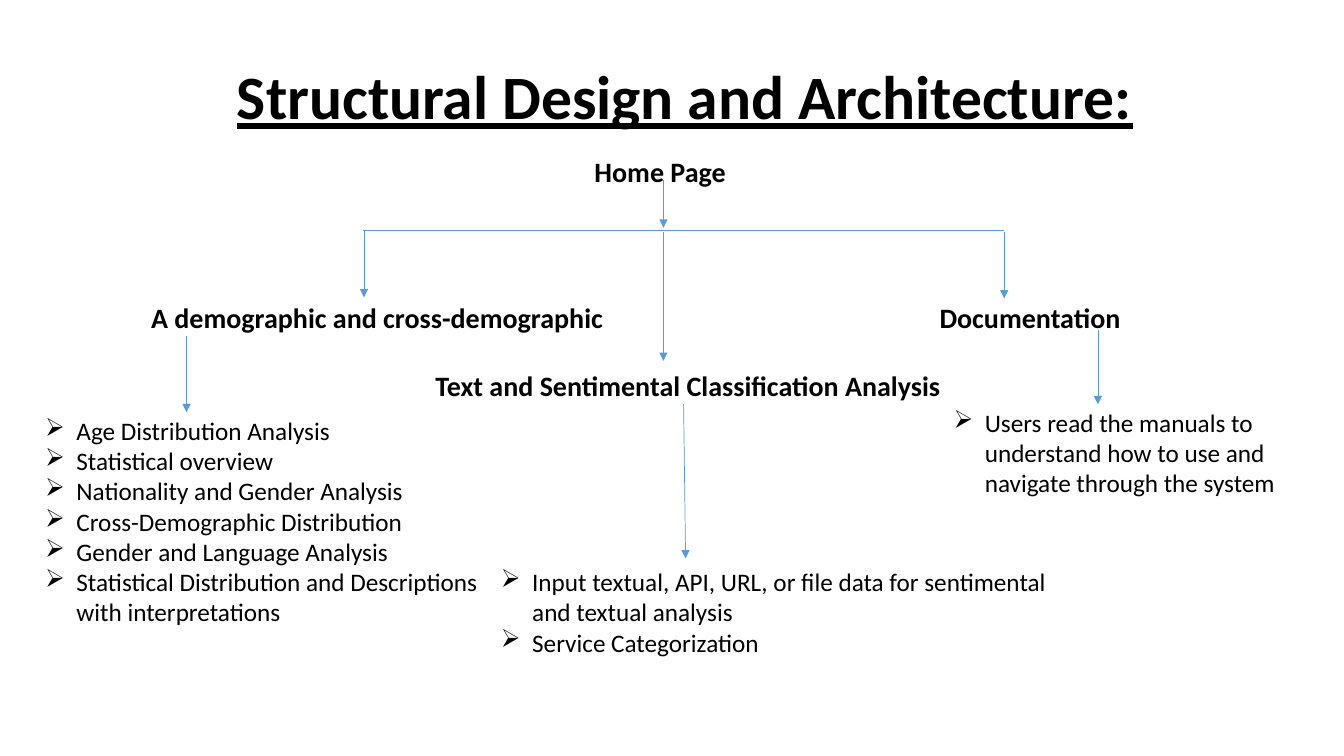
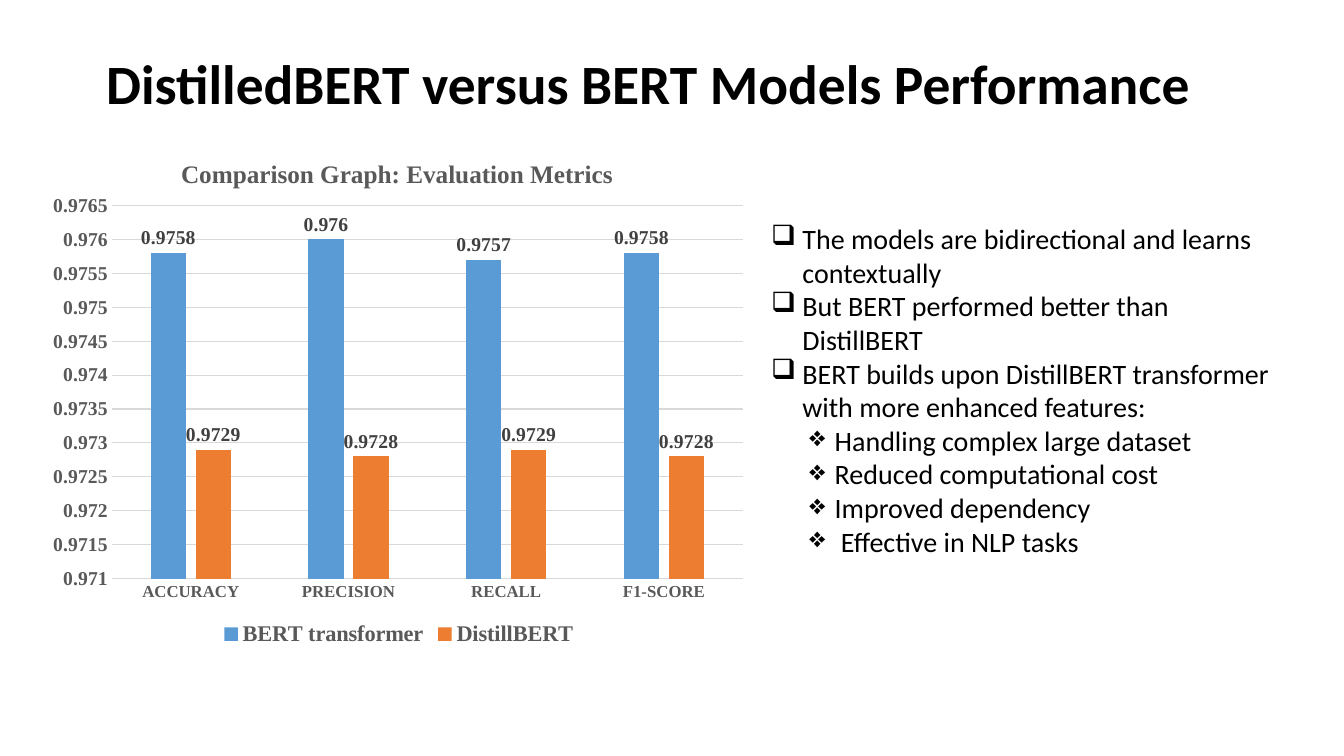
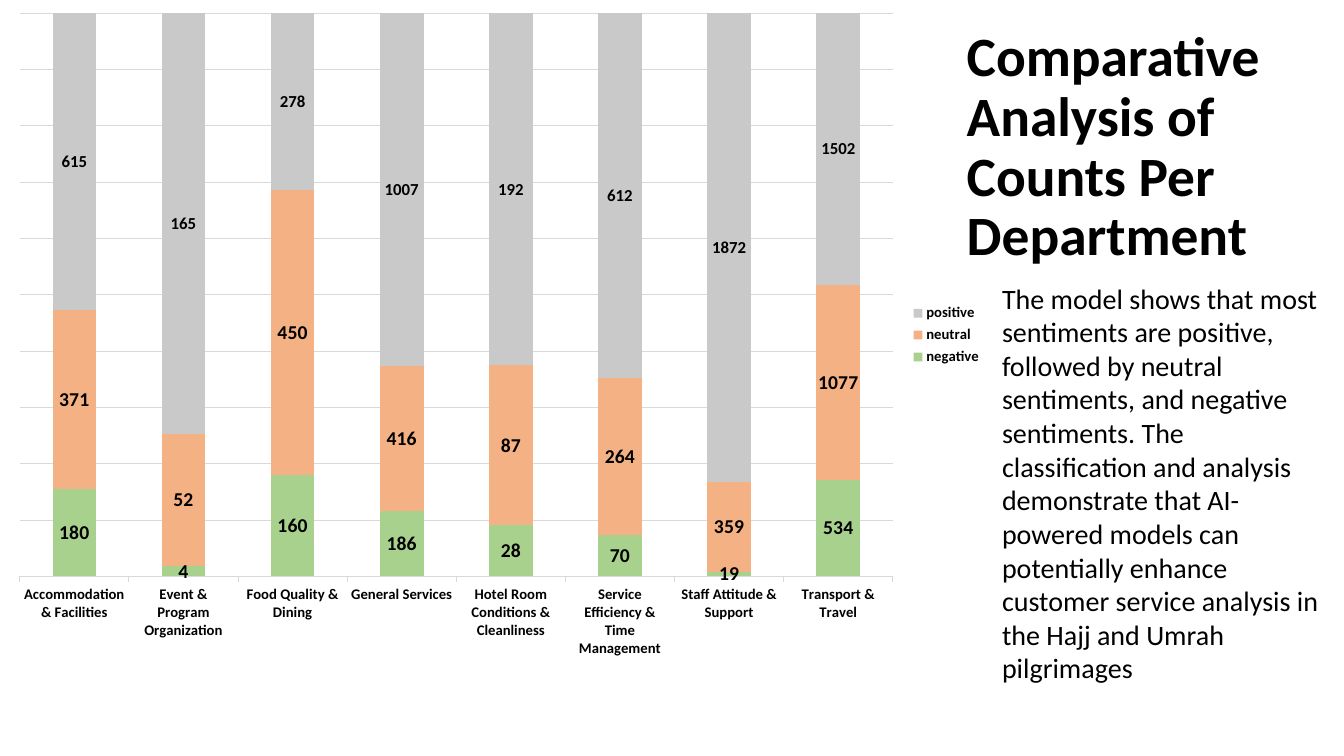
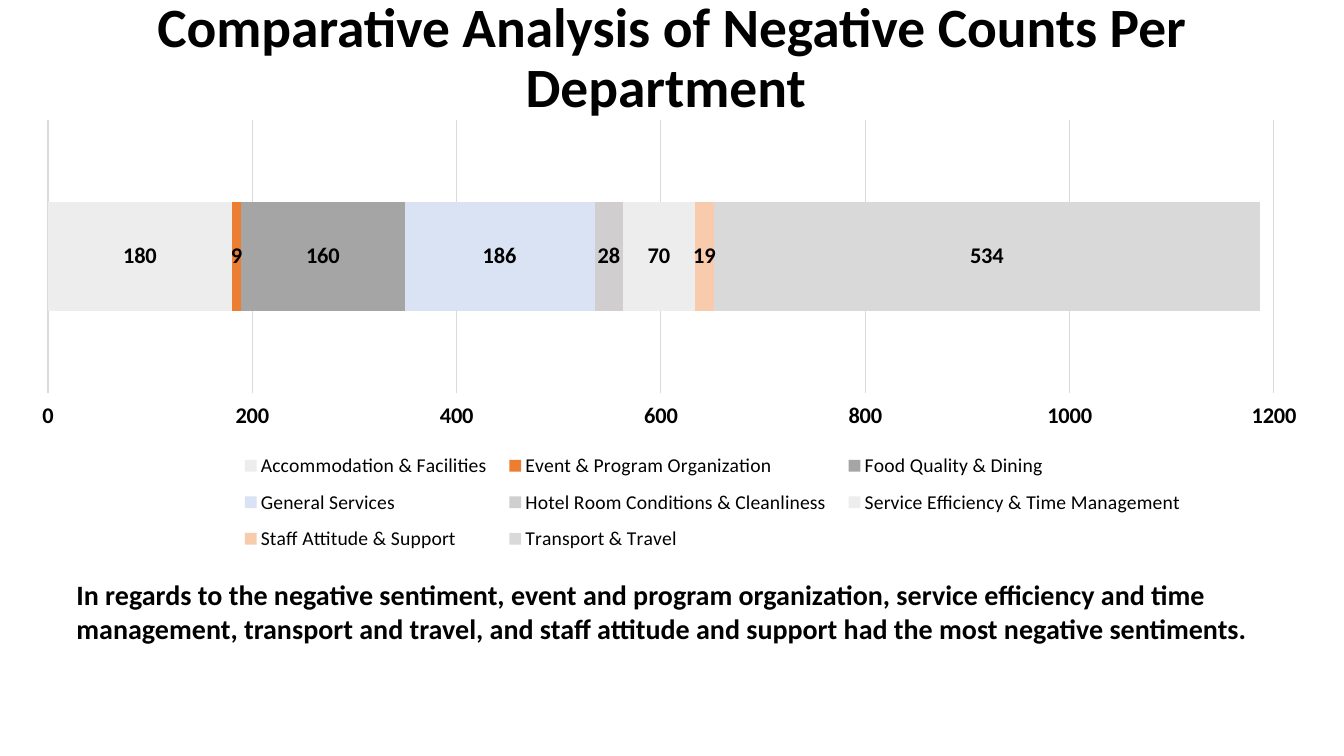
from lxml import etree
from pptx import Presentation
from pptx import util as u
from pptx.chart.data import CategoryChartData
from pptx.dml.color import RGBColor
from pptx.enum import chart as charts, shapes, text
from pptx.oxml import ns

Inches, Pt = u.Inches, u.Pt
color = RGBColor.from_string
BLACK, GREY, GRID, ARROW_BLUE = "000000", "595959", "D9D9D9", "5B9BD5"
CENTER, LEFT = text.PP_ALIGN.CENTER, text.PP_ALIGN.LEFT
TITLE = dict(size=39.6, bold=True, spacing=0.9, anchor=text.MSO_ANCHOR.MIDDLE)
HEADING = dict(size=20, bold=True)
CENTRE_LABEL = charts.XL_LABEL_POSITION.CENTER


def add_text(slide, box, lines, size, bold=False, underline=None, align=LEFT,
             spacing=None, anchor=text.MSO_ANCHOR.TOP):
    """Each line is a string or (string, bullet, left margin, hanging indent)."""
    frame = slide.shapes.add_textbox(*map(Inches, box)).text_frame
    frame.word_wrap = True
    frame.vertical_anchor = anchor
    for i, line in enumerate(lines):
        paragraph = frame.add_paragraph() if i else frame.paragraphs[0]
        paragraph.alignment = align
        paragraph.line_spacing = spacing
        if isinstance(line, tuple):
            line, bullet, margin, hanging = line
            props = paragraph._p.get_or_add_pPr()
            props.set("marL", str(Inches(margin)))
            props.set("indent", str(-Inches(hanging)))
            etree.SubElement(props, ns.qn("a:buChar")).set("char", bullet)
        run = paragraph.add_run()
        run.text = line
        font = run.font
        font.name, font.size, font.bold, font.underline = "Calibri", Pt(size), bold, underline
        font.color.rgb = color(BLACK)


def add_bar_chart(slide, kind, box, categories, series, gap, overlap, legend_side,
                  sizes, label_position, font_name="Calibri",
                  font_color=BLACK, label_color=BLACK):
    """Series are (name, values, fill, label size); sizes are category, value, legend."""
    data = CategoryChartData()
    data.categories = categories
    for name, values, _, _ in series:
        data.add_series(name, values)
    chart = slide.shapes.add_chart(kind, *map(Inches, box), data).chart
    chart.has_title = False
    plot = chart.plots[0]
    plot.gap_width, plot.overlap, plot.vary_by_categories = gap, overlap, False
    chart.has_legend = True
    chart.legend.position = legend_side
    chart.legend.include_in_layout = False
    value_axis = chart.value_axis
    value_axis.major_gridlines.format.line.color.rgb = color(GRID)
    value_axis.major_gridlines.format.line.width = Pt(0.75)
    value_axis.format.line.fill.background()
    chart.category_axis.format.line.color.rgb = color(GRID)
    chart.category_axis.format.line.width = Pt(0.75)

    parts = [chart, chart.category_axis.tick_labels, value_axis.tick_labels, chart.legend]
    fonts = [(part.font, size, font_color) for part, size in zip(parts, (10, *sizes))]
    for bars, (_, _, fill, label_size) in zip(plot.series, series):
        bars.format.fill.solid()
        bars.format.fill.fore_color.rgb = color(fill)
        bars.invert_if_negative = False
        bars.data_labels.show_value = True
        bars.data_labels.position = label_position
        fonts.append((bars.data_labels.font, label_size, label_color))
    for font, size, shade in fonts:
        font.name, font.size, font.bold = font_name, Pt(size), True
        font.color.rgb = color(shade)
    return chart


prs = Presentation()
prs.slide_width, prs.slide_height = Inches(13.33), Inches(7.5)
architecture, models, departments, negatives = [
    prs.slides.add_slide(prs.slide_layouts[6]) for _ in range(4)]

# Slide 1: architecture tree
add_text(architecture, (0.83, 0.41, 11.93, 1.16), ["Structural Design and Architecture:"],
         **{**TITLE, "size": 44}, underline=True, align=CENTER)
add_text(architecture, (4.75, 1.48, 3.66, 0.44), ["Home Page "], **HEADING, align=CENTER)
for heading, left, top, width in [
        ("A demographic and cross-demographic", 1.4, 2.93, 4.85),
        ("Text and Sentimental Classification Analysis", 4.22, 3.61, 5.32),
        ("Documentation", 9.22, 2.93, 2.07)]:
    add_text(architecture, (left, top, width, 0.44), [heading], **HEADING)

for box, features in [
        ((0.35, 4.07, 4.51, 2.22),
         ["Age Distribution Analysis", "Statistical overview",
          "Nationality and Gender Analysis", "Cross-Demographic Distribution",
          "Gender and Language Analysis",
          "Statistical Distribution and Descriptions with interpretations"]),
        ((4.87, 5.57, 6.01, 1.01),
         ["Input textual, API, URL, or file data for sentimental and textual analysis",
          "Service Categorization"]),
        ((9.36, 3.99, 3.7, 1.01),
         ["Users read the manuals to understand how to use and navigate through the system"])]:
    add_text(architecture, box, [(feature, "➢", 0.31, 0.31) for feature in features], 18)

# Branch line, then the arrows
for x1, y1, x2, y2, has_head in [
        (3.6, 2.29, 9.96, 2.29, False),
        (6.58, 1.79, 6.58, 2.26, True),
        (3.61, 2.29, 3.61, 2.95, True),
        (6.58, 2.3, 6.58, 3.58, True),
        (9.96, 2.3, 9.96, 2.96, True),
        (1.85, 3.33, 1.85, 4.09, True),
        (6.78, 4.01, 6.8, 5.54, True),
        (10.89, 3.27, 10.89, 4.01, True)]:
    branch = architecture.shapes.add_connector(
        shapes.MSO_CONNECTOR.STRAIGHT, *map(Inches, (x1, y1, x2, y2)))
    branch.line.color.rgb = color(ARROW_BLUE)
    branch.line.width = Pt(0.5)
    if has_head:
        etree.SubElement(branch.line._get_or_add_ln(), ns.qn("a:tailEnd")).set("type", "triangle")
    etree.SubElement(branch._element.spPr, ns.qn("a:effectLst"))

# Slide 2: model comparison
add_text(models, (0.68, 0.4, 11.5, 0.92), ["DistilledBERT versus BERT Models Performance"],
         **TITLE, align=CENTER)
metrics = add_bar_chart(
    models, charts.XL_CHART_TYPE.COLUMN_CLUSTERED, (0.4, 1.32, 7.11, 5.14),
    ["ACCURACY", "PRECISION", "RECALL", "F1-SCORE"],
    [("BERT transformer", [0.9758, 0.976, 0.9757, 0.9758], "5B9BD5", 14),
     ("DistillBERT", [0.9729, 0.9728, 0.9729, 0.9728], "ED7D31", 14)],
    gap=219, overlap=-27, legend_side=charts.XL_LEGEND_POSITION.BOTTOM, sizes=(12, 14, 16),
    label_position=charts.XL_LABEL_POSITION.OUTSIDE_END,
    font_name="Times New Roman", font_color=GREY, label_color="404040")
metrics.value_axis.minimum_scale = 0.971
metrics.value_axis.maximum_scale = 0.9765
metrics.value_axis.major_unit = 0.0005
for axis in (metrics.category_axis, metrics.value_axis):
    axis.major_tick_mark = charts.XL_TICK_MARK.NONE
metrics.has_title = True
caption = metrics.chart_title.text_frame.paragraphs[0].add_run()
caption.text = "Comparison Graph: Evaluation Metrics"
caption.font.name, caption.font.size, caption.font.bold = "Times New Roman", Pt(18), True
caption.font.color.rgb = color(GREY)

findings = ["The models are bidirectional and learns contextually",
            "But BERT performed better than DistillBERT",
            "BERT builds upon DistillBERT transformer with more enhanced features:"]
enhancements = ["Handling complex large dataset", "Reduced computational cost",
                "Improved dependency", " Effective in NLP tasks"]
add_text(models, (7.55, 2.15, 5.38, 3.47),
         [(finding, "❑", 0.31, 0.31) for finding in findings]
         + [(enhancement, "❖", 0.63, 0.25) for enhancement in enhancements], 20)

# Slide 3: sentiment share per department
department_names = [
    "Accommodation & Facilities", "Event & Program Organization", "Food Quality & Dining",
    "General Services", "Hotel Room Conditions & Cleanliness",
    "Service Efficiency & Time Management", "Staff Attitude & Support", "Transport & Travel"]
add_text(departments, (9.49, 1.15, 3.84, 0.64),
         ["Comparative Analysis of Counts Per Department"], **TITLE)
add_text(departments, (9.84, 2.74, 3.5, 4.14), [
    "The model shows that most sentiments are positive, followed by neutral sentiments, "
    "and negative sentiments. The classification and analysis demonstrate that AI-powered "
    "models can potentially enhance customer service analysis in the Hajj and Umrah "
    "pilgrimages"], 20)
shares = add_bar_chart(
    departments, charts.XL_CHART_TYPE.COLUMN_STACKED_100, (0, 0, 9.84, 6.65), department_names,
    [("negative", [180, 4, 160, 186, 28, 70, 19, 534], "A9D18E", 14),
     ("neutral", [371, 52, 450, 416, 87, 264, 359, 1077], "F4B183", 14),
     ("positive", [615, 165, 278, 1007, 192, 612, 1872, 1502], "C9C9C9", 12)],
    gap=150, overlap=100, legend_side=charts.XL_LEGEND_POSITION.RIGHT,
    sizes=(10.5, 10.5, 10.5), label_position=CENTRE_LABEL)
shares.value_axis.visible = False

# Slide 4: negative counts
add_text(negatives, (0.22, 0.23, 12.89, 0.72),
         ["Comparative Analysis of Negative Counts Per Department "], **TITLE, align=CENTER)
add_text(negatives, (0.66, 5.68, 12.67, 0.77), [
    "In regards to the negative sentiment, event and program organization, service efficiency "
    "and time management, transport and travel, and staff attitude and support had the most "
    "negative sentiments."], **HEADING)
negative_counts = [180, 9, 160, 186, 28, 70, 19, 534]
department_fills = ["EDEDED", "ED7D31", "A5A5A5", "DAE3F3", "D0CECE", "EDEDED", "F8CBAD", "D9D9D9"]
counts = add_bar_chart(
    negatives, charts.XL_CHART_TYPE.BAR_STACKED, (0.22, 0.95, 12.8, 4.83), ["1"],
    [(name, [count], fill, 16)
     for name, count, fill in zip(department_names, negative_counts, department_fills)],
    gap=150, overlap=100, legend_side=charts.XL_LEGEND_POSITION.BOTTOM,
    sizes=(16, 16, 14), label_position=CENTRE_LABEL)
counts.category_axis.visible = False
counts.value_axis.minimum_scale = 0
counts.value_axis.maximum_scale = 1200
counts.value_axis.major_unit = 200
counts.legend.font.bold = False

# Chart part positions, as fractions of each chart
for chart, part, fractions in [
        (metrics, "plotArea", dict(x=0.1, y=0.14, w=0.88, h=0.72)),
        (metrics, "title", dict(x=0.19, y=0.04)),
        (shares, "plotArea", dict(x=0.02, y=0.02, w=0.88, h=0.84)),
        (counts, "plotArea", dict(x=0.02, y=0.05, w=0.95, h=0.56)),
        (counts, "legend", dict(x=0.16, y=0.71, w=0.75, h=0.25))]:
    element = chart._chartSpace.chart.find(ns.qn("c:" + part))
    for old_layout in element.findall(ns.qn("c:layout")):
        element.remove(old_layout)
    layout = etree.Element(ns.qn("c:layout"))
    element.insert(0 if part == "plotArea" else 1, layout)
    manual = etree.SubElement(layout, ns.qn("c:manualLayout"))
    settings = {"xMode": "edge", "yMode": "edge", **fractions}
    if part == "plotArea":
        settings = {"layoutTarget": "inner", **settings}
    for key, value in settings.items():
        etree.SubElement(manual, ns.qn("c:" + key)).set("val", str(value))

prs.save("out.pptx")
